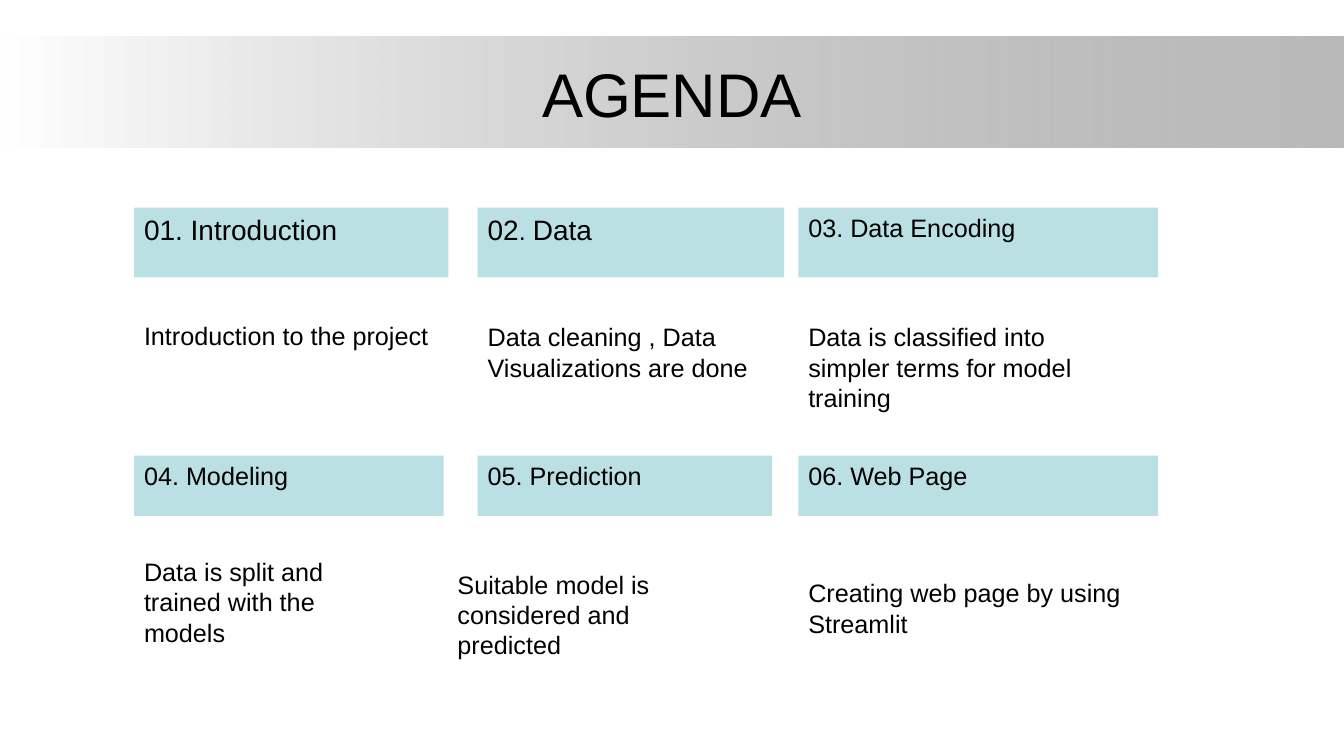
from lxml import etree
from pptx import Presentation
from pptx.dml.color import RGBColor
from pptx.enum.shapes import MSO_SHAPE
from pptx.enum.text import MSO_ANCHOR, PP_ALIGN
from pptx.oxml.ns import qn
from pptx.util import Cm, Pt

RECTANGLE = MSO_SHAPE.RECTANGLE
TOP, MIDDLE = MSO_ANCHOR.TOP, MSO_ANCHOR.MIDDLE
LEFT, CENTER = PP_ALIGN.LEFT, PP_ALIGN.CENTER
BLACK = RGBColor(0x00, 0x00, 0x00)
WHITE = RGBColor(0xFF, 0xFF, 0xFF)
GRAY = RGBColor(0x80, 0x80, 0x80)
PALE_TEAL = RGBColor(0xBB, 0xE0, 0xE3)
FONT = "Arial"


def add_rectangle(left, top, width, height):
    rectangle = slide.shapes.add_shape(
        RECTANGLE, Cm(left), Cm(top), Cm(width), Cm(height))
    rectangle.shadow.inherit = False
    rectangle.line.fill.background()
    return rectangle


def write(holder, runs, anchor=TOP, align=LEFT):
    frame = holder.text_frame
    frame.word_wrap = True
    frame.vertical_anchor = anchor
    paragraph = frame.paragraphs[0]
    paragraph.alignment = align
    for text, size in runs:
        run = paragraph.add_run()
        run.text = text
        run.font.name = FONT
        run.font.size = Pt(size)
        run.font.color.rgb = BLACK


prs = Presentation()
prs.slide_width, prs.slide_height = Cm(33.87), Cm(19.05)
slide = prs.slides.add_slide(prs.slide_layouts[6])

# Title band, fading from white to translucent gray
band = add_rectangle(0, 0.92, 33.87, 2.79)
band.fill.gradient()
band.fill.gradient_angle = 0
for stop, color in zip(band.fill.gradient_stops, (WHITE, GRAY)):
    stop.color.rgb = color
gray_stop = band.fill._xPr.findall(".//" + qn("a:srgbClr"))[-1]
etree.SubElement(gray_stop, qn("a:alpha")).set("val", "54000")

# Title
title = slide.shapes.add_textbox(Cm(1.7), Cm(0.76), Cm(30.48), Cm(3.18))
write(title, [("AGENDA", 44)], MIDDLE, CENTER)

# Agenda items: heading runs, heading width, then description and its box
COLUMNS = (3.38, 12.04, 20.12)
ROWS = ((5.23, 1.76), (11.48, 1.52))  # heading top and height
items = [
    ([("01. Introduction", 20)], 7.92,
     "Introduction to the project", (3.38, 7.95, 8.66, 1.02)),
    ([("02", 20), (". ", 18), ("Data", 20)], 7.72,
     "Data cleaning , Data Visualizations are done", (12.04, 7.98, 8.08, 1.8)),
    ([("03. Data Encoding", 18)], 9.07,
     "Data is classified into simpler terms for model training",
     (20.12, 7.98, 7.52, 3.33)),
    ([("04. Modeling", 18)], 7.8,
     "Data is split and trained with the models", (3.38, 13.9, 5.21, 3.33)),
    ([("05. Prediction", 18)], 7.42,
     "Suitable model is considered and predicted", (11.28, 14.22, 7.19, 2.57)),
    ([("06. Web Page", 18)], 9.07,
     "Creating web page by using Streamlit", (20.12, 14.43, 9.98, 1.8)),
]
for index, (heading_runs, heading_width, description, box) in enumerate(items):
    row, column = divmod(index, len(COLUMNS))
    heading_top, heading_height = ROWS[row]
    heading = add_rectangle(
        COLUMNS[column], heading_top, heading_width, heading_height)
    heading.fill.solid()
    heading.fill.fore_color.rgb = PALE_TEAL
    write(heading, heading_runs)

    description_box = slide.shapes.add_textbox(*map(Cm, box))
    write(description_box, [(description, 18)])

prs.save("out.pptx")
